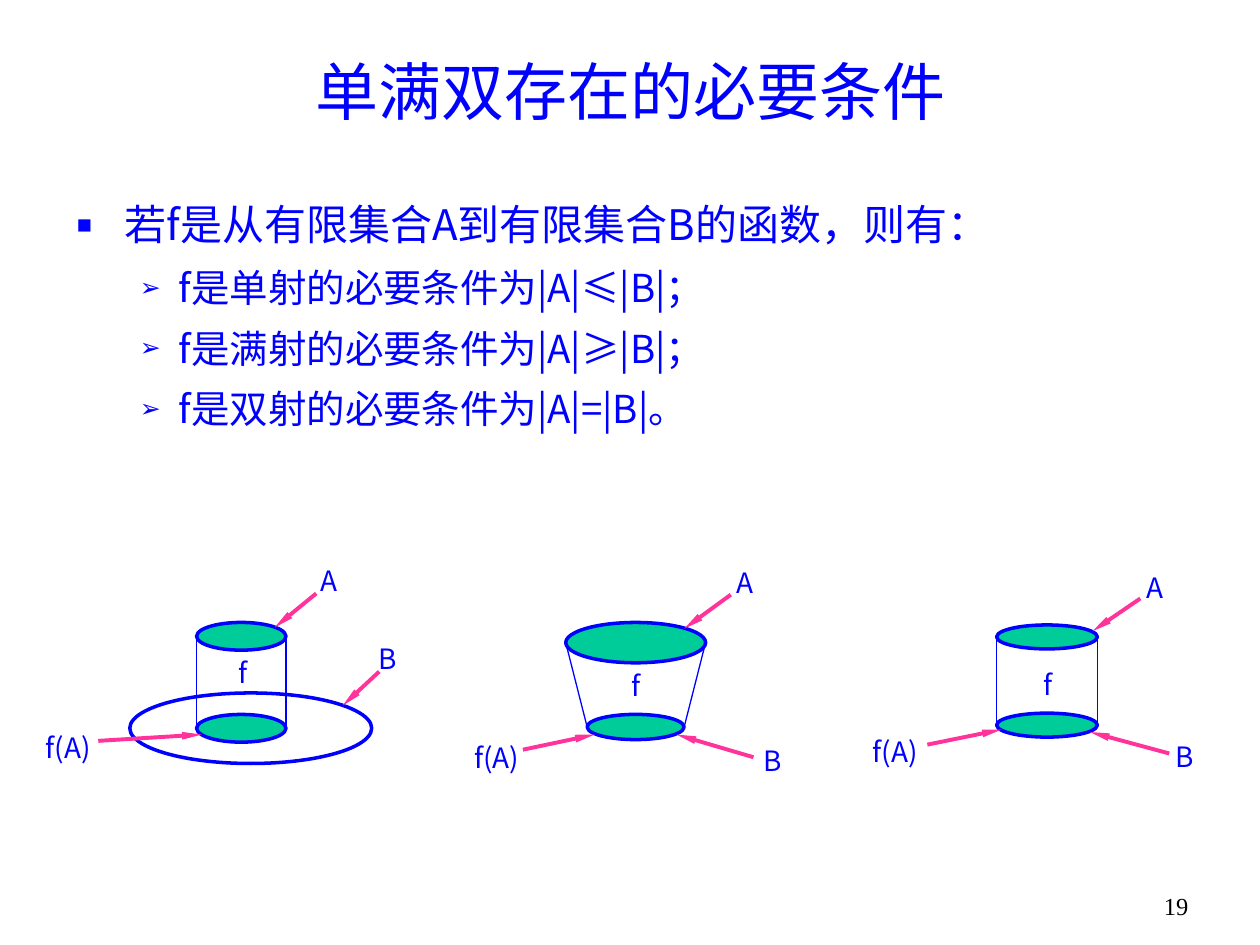
from lxml import etree
from pptx import Presentation
from pptx.dml.color import RGBColor
from pptx.enum import shapes, text
from pptx.oxml import ns
from pptx.util import Pt

PX = 9144
BLUE = RGBColor(0x00, 0x00, 0xFF)
GREEN = RGBColor(0x00, 0xCC, 0x99)
PINK = RGBColor(0xFF, 0x33, 0x99)
BLACK = RGBColor(0x00, 0x00, 0x00)
SANS = "Noto Sans CJK SC"
SERIF = "Times New Roman"


def px(*lengths):
    return [length * PX for length in lengths]


def add_element(parent, tag, **attributes):
    return etree.SubElement(parent, ns.qn(tag), attributes)


def write(paragraph, content, size=16, font=SANS, color=BLUE,
          align=text.PP_ALIGN.CENTER, spacing=1.0, before=0, after=0):
    paragraph.alignment = align
    paragraph.line_spacing = spacing
    paragraph.space_before = Pt(before)
    paragraph.space_after = Pt(after)
    run = paragraph.add_run()
    run.text = content
    run.font.size = Pt(size)
    run.font.color.rgb = color
    run.font.name = font
    add_element(run.font._element, "a:ea", typeface=font)


class SlideBuilder:
    def __init__(self, slide):
        self.slide = slide
        self.canvas = slide.shapes

    def start_group(self):
        self.canvas = self.slide.shapes.add_group_shape().shapes

    def place(self, shape, box):
        shape.left, shape.top, shape.width, shape.height = px(*box)
        shape.text_frame.auto_size = text.MSO_AUTO_SIZE.NONE
        return shape.text_frame

    def title(self, box, content):
        frame = self.place(self.slide.shapes.title, box)
        frame.vertical_anchor = text.MSO_ANCHOR.MIDDLE
        write(frame.paragraphs[0], content, size=36)

    def bullets(self, box, items):
        frame = self.place(self.slide.placeholders[1], box)
        frame.vertical_anchor = text.MSO_ANCHOR.TOP
        styles = [(24, 38, 38, "■", "60000"), (22, 81, 31, "➢", "65000")]
        for index, (level, content) in enumerate(items):
            size, margin, hanging, symbol, scale = styles[level]
            paragraph = frame.add_paragraph() if index else frame.paragraphs[0]
            paragraph.level = level
            properties = paragraph._p.get_or_add_pPr()
            properties.set("marL", str(margin * PX))
            properties.set("indent", str(-hanging * PX))
            bullet_color = add_element(properties, "a:buClr")
            add_element(bullet_color, "a:srgbClr", val=str(BLUE))
            add_element(properties, "a:buSzPct", val=scale)
            add_element(properties, "a:buChar", char=symbol)
            write(paragraph, content, size=size, align=text.PP_ALIGN.LEFT,
                  spacing=0.88, before=5.5 if index else 0, after=6)

    def page_number(self, box, content):
        frame = self.slide.shapes.add_textbox(*px(*box)).text_frame
        frame.word_wrap = True
        write(frame.paragraphs[0], content, size=14, font=SERIF, color=BLACK)

    def label(self, content, box):
        frame = self.canvas.add_textbox(*px(*box)).text_frame
        frame.word_wrap = True
        frame.vertical_anchor = text.MSO_ANCHOR.MIDDLE
        frame.margin_left = frame.margin_right = 0
        frame.margin_top = frame.margin_bottom = 0
        write(frame.paragraphs[0], content, spacing=0.9)

    def ellipse(self, box, fill=GREEN):
        shape = self.canvas.add_shape(shapes.MSO_SHAPE.OVAL, *px(*box))
        shape.shadow.inherit = False
        if fill is None:
            shape.fill.background()
        else:
            shape.fill.solid()
            shape.fill.fore_color.rgb = fill
        shape.line.color.rgb = BLUE
        shape.line.width = Pt(2)

    def line(self, ends, color=BLUE, width=0.75):
        connector = self.canvas.add_connector(shapes.MSO_CONNECTOR.STRAIGHT, *px(*ends))
        connector.line.color.rgb = color
        connector.line.width = Pt(width)
        add_element(connector._element.spPr, "a:effectLst")
        return connector

    def arrow(self, ends):
        connector = self.line(ends, PINK, 2.25)
        add_element(connector.line._get_or_add_ln(), "a:tailEnd",
                    type="triangle", w="sm", len="lg")

    def mapping(self, domain, image, labels, arrows, codomain=None):
        self.start_group()
        self.ellipse(domain)
        if codomain:
            self.ellipse(codomain, fill=None)
        self.ellipse(image)
        top_y = domain[1] + domain[3] // 2
        bottom_y = image[1] + image[3] // 2
        self.line((domain[0], top_y, image[0], bottom_y))
        self.line((domain[0] + domain[2], top_y, image[0] + image[2], bottom_y))
        for content, box in zip(("f(A)", "A", "B", "f"), labels):
            self.label(content, box)
        for ends in arrows:
            self.arrow(ends)


def main():
    presentation = Presentation()
    presentation.slide_width, presentation.slide_height = px(1000, 750)
    builder = SlideBuilder(presentation.slides.add_slide(presentation.slide_layouts[1]))
    builder.title((75, 36, 850, 71), "单满双存在的必要条件")
    builder.bullets((51, 158, 898, 268), [
        (0, "若f是从有限集合A到有限集合B的函数，则有："),
        (1, "f是单射的必要条件为|A|≤|B|；"),
        (1, "f是满射的必要条件为|A|≥|B|；"),
        (1, "f是双射的必要条件为|A|=|B|。"),
    ])
    builder.page_number((902, 702, 63, 37), "19")
    builder.mapping(
        domain=(156, 494, 71, 22), image=(156, 567, 71, 22), codomain=(103, 550, 192, 56),
        labels=[(23, 582, 62, 25), (224, 454, 74, 17), (272, 516, 71, 17), (168, 528, 50, 15)],
        arrows=[(251, 471, 218, 498), (78, 588, 160, 583), (301, 533, 272, 560)])
    builder.mapping(
        domain=(449, 494, 111, 32), image=(466, 567, 77, 20),
        labels=[(363, 592, 63, 22), (549, 455, 84, 17), (594, 597, 39, 17), (483, 538, 44, 15)],
        arrows=[(580, 472, 543, 499), (415, 595, 472, 583), (598, 601, 537, 583)])
    builder.mapping(
        domain=(791, 496, 80, 19), image=(791, 566, 80, 19),
        labels=[(673, 583, 75, 30), (873, 460, 87, 16), (917, 592, 47, 20), (809, 538, 45, 14)],
        arrows=[(905, 475, 867, 501), (736, 591, 795, 579), (928, 598, 865, 581)])
    presentation.save("out.pptx")


if __name__ == "__main__":
    main()
